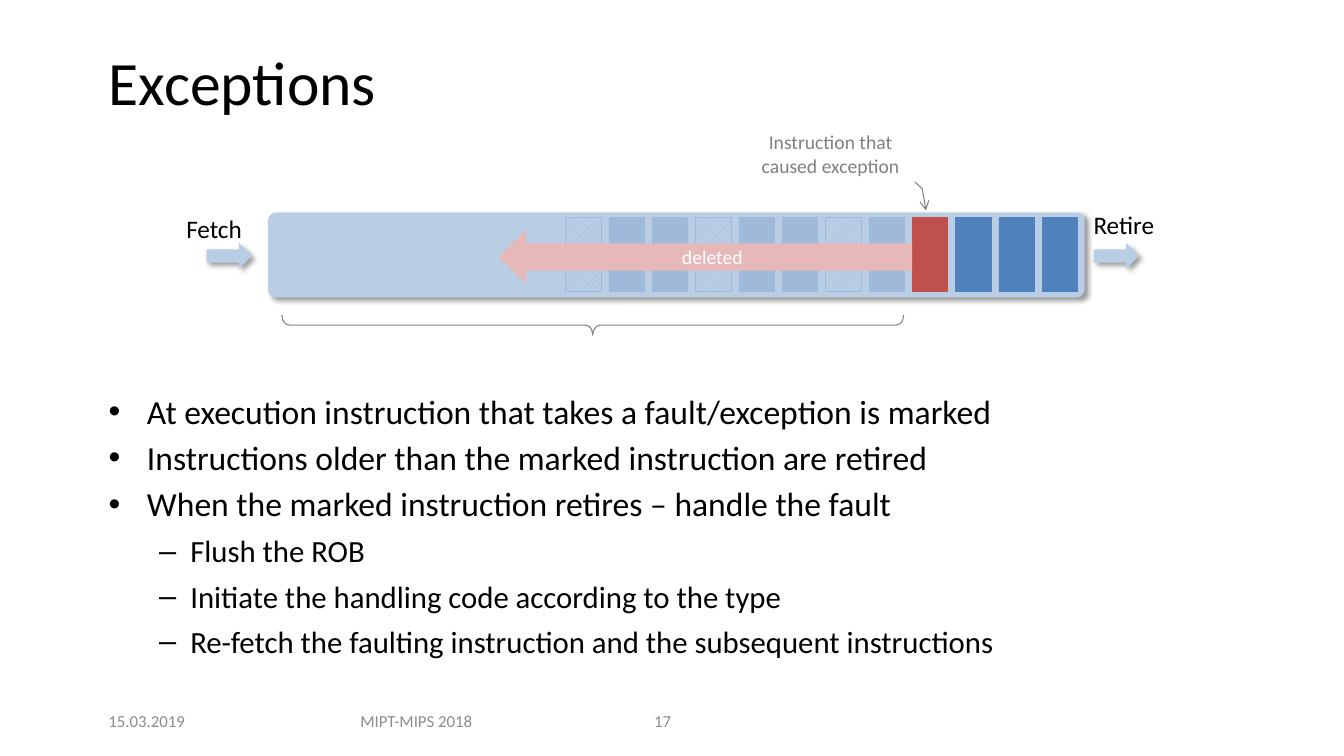
from dataclasses import dataclass

from lxml import etree
from pptx import Presentation
from pptx.dml.color import RGBColor
from pptx.enum.dml import MSO_PATTERN
from pptx.enum.shapes import MSO_SHAPE
from pptx.enum.text import MSO_ANCHOR, PP_ALIGN
from pptx.oxml.ns import qn
from pptx.util import Emu, Pt

RECT = MSO_SHAPE.RECTANGLE
ROUND = MSO_SHAPE.ROUNDED_RECTANGLE
RIGHT = MSO_SHAPE.RIGHT_ARROW
LEFT = MSO_SHAPE.LEFT_ARROW
BRACE = MSO_SHAPE.RIGHT_BRACE
CALLOUT = MSO_SHAPE.LINE_CALLOUT_2_NO_BORDER
HATCH = MSO_PATTERN.WIDE_UPWARD_DIAGONAL
MIDDLE, TOP = MSO_ANCHOR.MIDDLE, MSO_ANCHOR.TOP
CENTER, START = PP_ALIGN.CENTER, PP_ALIGN.LEFT

SCALE = 9144  # EMU in one px, 100 px to the inch


@dataclass(frozen=True)
class Theme:
    font: str = "Calibri"
    black: str = "000000"
    white: str = "FFFFFF"
    muted: str = "8C8C8C"
    gray: str = "808080"
    pale: str = "B9CDE5"
    blue: str = "4F81BD"
    red: str = "C0504D"
    pink: str = "E6B9B8"
    title: int = 44
    body: int = 24
    sub: int = 22
    label: int = 18
    note: int = 14
    foot: int = 12


THEME = Theme()

# text, is sub-point
POINTS = [
    ("At execution instruction that takes a fault/exception is marked", False),
    ("Instructions older than the marked instruction are retired", False),
    ("When the marked instruction retires – handle the fault", False),
    ("Flush the ROB", True),
    ("Initiate the handling code according to the type", True),
    ("Re-fetch the faulting instruction and the subsequent instructions", True),
]


def px(n):
    return Emu(n * SCALE)


def rgb(color):
    return RGBColor.from_string(color)


def add_node(parent, tag, **attrs):
    node = etree.SubElement(parent, qn(tag))
    for key, value in attrs.items():
        node.set(key, str(value))
    return node


def style(para, text, size, color, align=START):
    para.text = text
    para.alignment = align
    font = para.font
    font.name, font.size = THEME.font, Pt(size)
    font.color.rgb = rgb(color)


def add_text(slide, box, text, size, color, align=START, anchor=TOP, wrap=True):
    frame = slide.shapes.add_textbox(*map(px, box)).text_frame
    frame.word_wrap = wrap
    frame.vertical_anchor = anchor
    style(frame.paragraphs[0], text, size, color, align)
    return frame


def add_shape(slide, kind, box, fill=None, line=None, width=0.25):
    shape = slide.shapes.add_shape(kind, *map(px, box))
    shape.shadow.inherit = False
    if fill:
        shape.fill.solid()
        shape.fill.fore_color.rgb = rgb(fill)
    else:
        shape.fill.background()
    if line:
        shape.line.color.rgb = rgb(line)
        shape.line.width = Pt(width)
    else:
        shape.line.fill.background()
    return shape


def label(shape, text, color):
    frame = shape.text_frame
    frame.word_wrap = True
    frame.vertical_anchor = MIDDLE
    style(frame.paragraphs[0], text, THEME.note, color, CENTER)


def add_raised(slide, kind, box):
    """Add a pale shape with a soft shadow to the lower right."""
    shape = add_shape(slide, kind, box, THEME.pale)
    effects = shape._element.spPr.find(qn("a:effectLst"))
    shadow = add_node(effects, "a:outerShdw", blurRad=Pt(4), dist=Pt(3),
                      dir=45 * 60000, algn="tl", rotWithShape=0)
    tone = add_node(shadow, "a:srgbClr", val=THEME.black)
    add_node(tone, "a:alpha", val=40000)
    return shape


def add_cells(slide):
    """Fill the queue: hatched, plain and one faulting instruction."""
    for i in range(12):
        color = THEME.red if i == 8 else THEME.blue
        box = (561 + 43 * i, 216, 35, 73)
        cell = add_shape(slide, RECT, box, color, color)
        if i in (0, 3, 6):
            cell.fill.patterned()
            cell.fill.pattern = HATCH
            cell.fill.fore_color.rgb = rgb(THEME.blue)
            cell.fill.back_color.rgb = rgb(THEME.pale)


def add_callout(slide):
    note = add_shape(slide, CALLOUT, (733, 119, 182, 67), None, THEME.gray, 0.75)
    for i, value in enumerate((0.92, 0.96, 1.02, 1, 1.34, 1.02)):
        note.adjustments[i] = value
    add_node(note.line._get_or_add_ln(), "a:tailEnd", type="arrow")
    label(note, "Instruction that caused exception", THEME.gray)


def add_brace(slide):
    brace = add_shape(slide, BRACE, (578, 14, 20, 617), None, THEME.gray, 0.75)
    brace.rotation = 90
    brace.adjustments[0] = 0.36


def add_deleted(slide):
    veil = add_shape(slide, RECT, (507, 214, 391, 78), THEME.pale)
    tone = veil._element.spPr.find(qn("a:solidFill"))[0]
    add_node(tone, "a:alpha", val=75000)
    arrow = add_shape(slide, LEFT, (495, 228, 410, 54), THEME.pink)
    label(arrow, "deleted", THEME.white)


def add_points(slide):
    frame = slide.shapes.add_textbox(*map(px, (98, 383, 1201, 313))).text_frame
    frame.word_wrap = True
    for i, (text, sub) in enumerate(POINTS):
        para = frame.add_paragraph() if i else frame.paragraphs[0]
        para.level = int(sub)
        props = para._p.get_or_add_pPr()
        props.set("marL", str(px(81 if sub else 38)))
        props.set("indent", str(px(-31 if sub else -38)))
        add_node(props, "a:buFont", typeface="Arial")
        add_node(props, "a:buChar", char="–" if sub else "•")
        if i:
            para.space_before = Pt(6 if sub else 4.2)
        style(para, text, THEME.sub if sub else THEME.body, THEME.black)


def main():
    deck = Presentation()
    deck.slide_width, deck.slide_height = Emu(12192000), px(750)
    slide = deck.slides.add_slide(deck.slide_layouts[6])

    title = add_text(slide, (98, 39, 906, 91), "Exceptions",
                     THEME.title, THEME.black, anchor=MIDDLE)
    title.paragraphs[0].line_spacing = 0.9

    queue = add_raised(slide, ROUND, (266, 211, 810, 84))
    queue.adjustments[0] = 0.09
    for left in (205, 1085):
        add_raised(slide, RIGHT, (left, 241, 45, 26))
    for text, box in (("Fetch", (175, 207, 76, 40)),
                      ("Retire", (1075, 203, 81, 40))):
        add_text(slide, box, text, THEME.label, THEME.black, wrap=False)

    add_cells(slide)
    add_callout(slide)
    add_brace(slide)
    add_deleted(slide)
    add_points(slide)

    for text, left, width, align in (("15.03.2019", 92, 107, CENTER),
                                     ("MIPT-MIPS 2018", 334, 158, CENTER),
                                     ("17", 639, 79, START)):
        add_text(slide, (left, 695, width, 40), text,
                 THEME.foot, THEME.muted, align, MIDDLE)
    deck.save("out.pptx")


if __name__ == "__main__":
    main()
